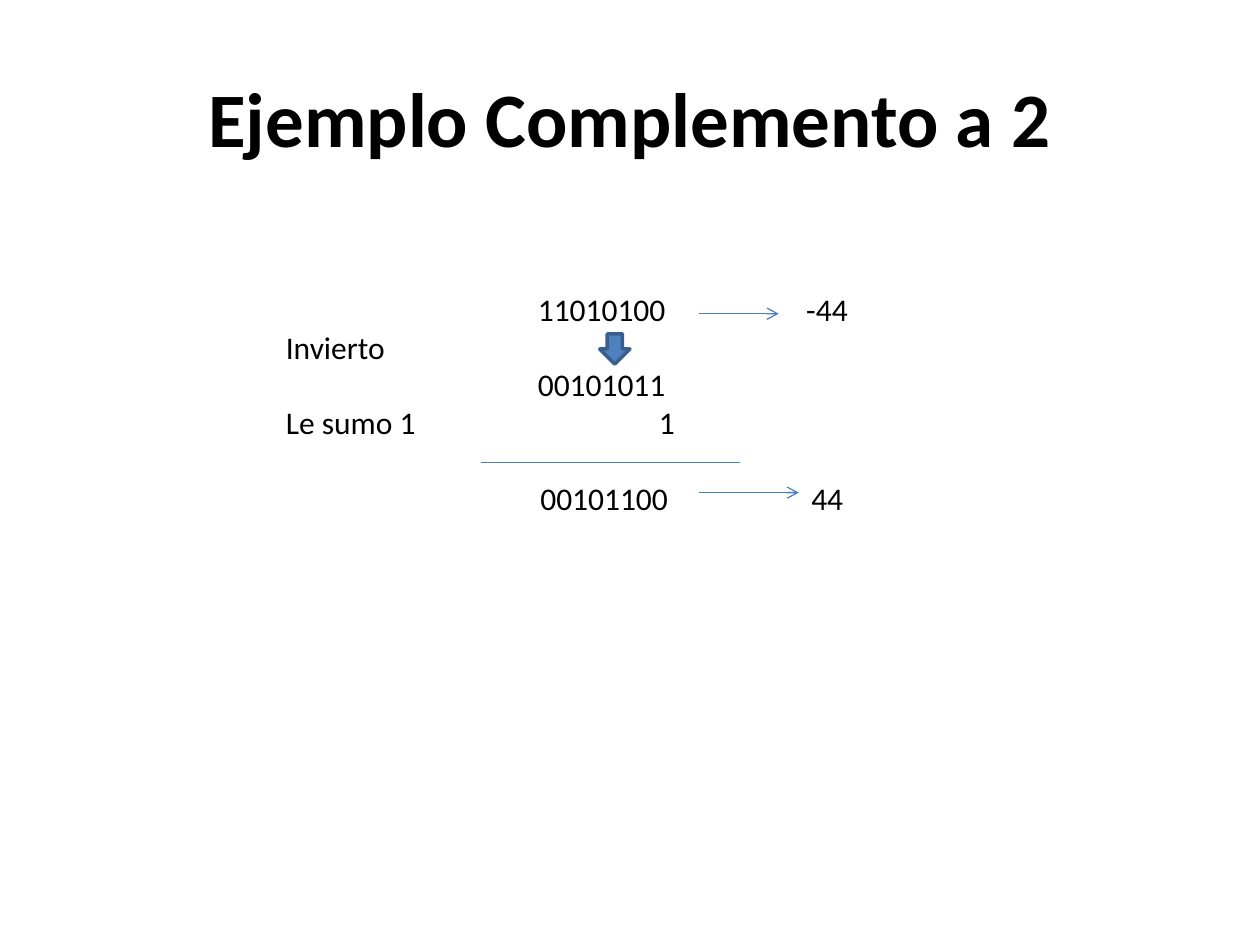
import pptx
import pptx.util
import pptx.dml.color
import pptx.enum.shapes
import pptx.enum.text
import pptx.oxml.ns
from lxml import etree
from pptx.util import Inches

COLORS = {"text": "000000", "line": "4B7EBC", "fill": "4F81BD", "edge": "3A5F8C"}
FONT = "Calibri"


def rgb(name):
    return pptx.dml.color.RGBColor.from_string(COLORS[name])


def style(p, size, bold=False):
    for r in p.runs:
        r.font.name = FONT
        r.font.size = pptx.util.Pt(size)
        r.font.bold = bold
        r.font.color.rgb = rgb("text")


qn = pptx.oxml.ns.qn
prs = pptx.Presentation()
prs.slide_width, prs.slide_height = Inches(10), Inches(7.5)
s = prs.slides.add_slide(prs.slide_layouts[5])

# Title
title = s.shapes.title
title.left, title.top = Inches(0.5), Inches(0.3)
title.width, title.height = Inches(9), Inches(1.25)
tf = title.text_frame
tf.text = "Ejemplo Complemento a 2"
tf.vertical_anchor = pptx.enum.text.MSO_ANCHOR.MIDDLE
tf.paragraphs[0].alignment = pptx.enum.text.PP_ALIGN.CENTER
style(tf.paragraphs[0], 44, True)

# Worked example: text, tab stops in inches, space before in points
rows = [
    ("\t11010100\t-44", [2, 4.13], 0),
    ("Invierto", [], 0),
    ("\t00101011", [2], 0),
    ("Le sumo 1\t1", [2.96], 0),
    ("\t00101100\t44", [2.02, 4.17], 21.6),
]
box = s.shapes.add_textbox(Inches(2.17), Inches(2.25), Inches(5.59), Inches(1.92))
tf = box.text_frame
tf.word_wrap = True
for i, (text, stops, before) in enumerate(rows):
    p = tf.add_paragraph() if i else tf.paragraphs[0]
    p.text = text
    p.space_before = pptx.util.Pt(before)
    style(p, 18)
    if stops:
        tabs = etree.SubElement(p._p.get_or_add_pPr(), qn("a:tabLst"))
        for stop in stops:
            etree.SubElement(tabs, qn("a:tab"), pos=str(Inches(stop)), algn="l")

# Result arrows and sum line: start x, end x, y, arrowhead
for x1, x2, y, arrow in [(5.55, 6.18, 2.49, True),
                         (5.55, 6.34, 3.91, True),
                         (3.82, 5.87, 3.67, False)]:
    line = s.shapes.add_connector(pptx.enum.shapes.MSO_CONNECTOR.STRAIGHT,
                                  Inches(x1), Inches(y), Inches(x2), Inches(y))
    line.line.color.rgb = rgb("line")
    line.line.width = pptx.util.Pt(0.75)
    if arrow:
        etree.SubElement(line.line._get_or_add_ln(), qn("a:tailEnd"), type="arrow")
    etree.SubElement(line._element.spPr, qn("a:effectLst"))

# Inversion arrow
sp = s.shapes.add_shape(pptx.enum.shapes.MSO_SHAPE.DOWN_ARROW,
                        Inches(4.76), Inches(2.65), Inches(0.24), Inches(0.24))
sp.shadow.inherit = False
sp.fill.solid()
sp.fill.fore_color.rgb = rgb("fill")
sp.line.color.rgb = rgb("edge")
sp.line.width = pptx.util.Pt(2)

prs.save("out.pptx")
